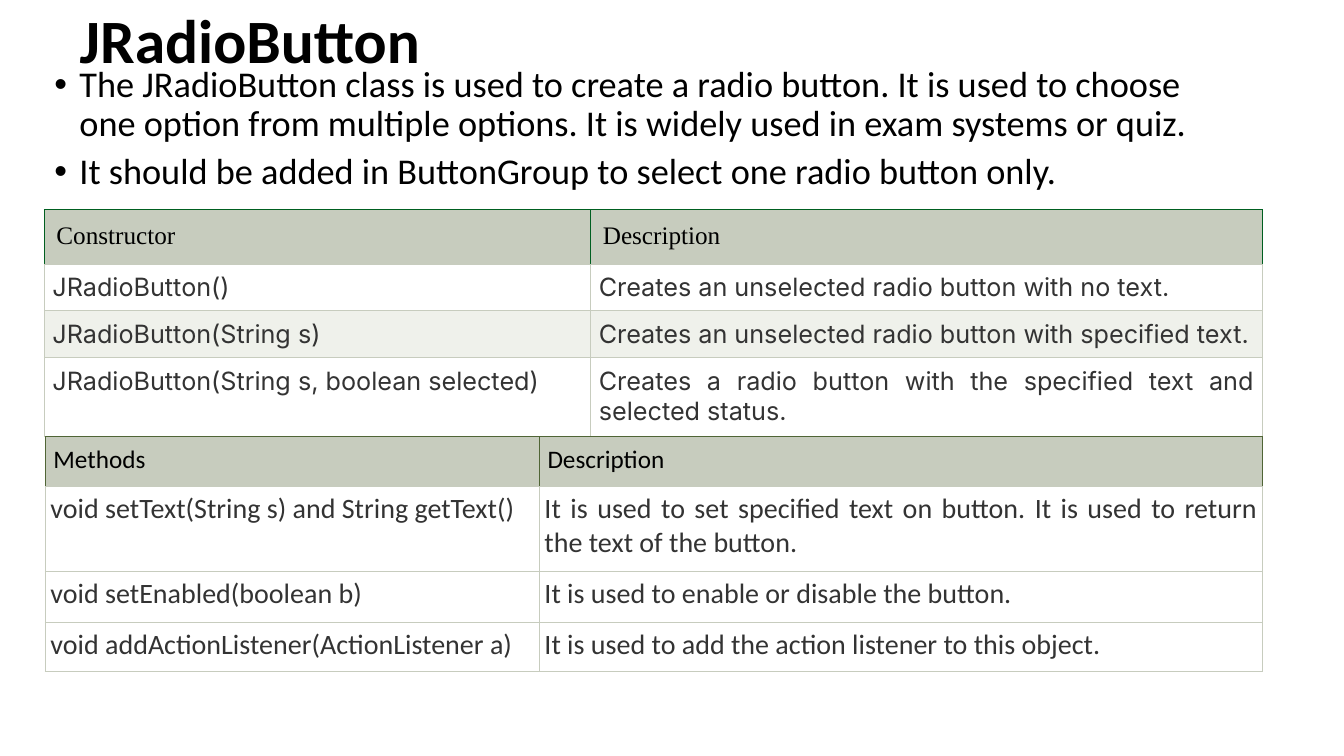
from dataclasses import dataclass

from lxml.etree import SubElement
from pptx import Presentation
from pptx.dml.color import RGBColor
from pptx.enum.text import MSO_ANCHOR, MSO_AUTO_SIZE, PP_ALIGN
from pptx.oxml.ns import qn
from pptx.slide import Slide
from pptx.table import _Cell
from pptx.text.text import TextFrame, _Paragraph
from pptx.util import Emu, Inches, Pt

SLIDE_WIDTH, SLIDE_HEIGHT = Inches(13.33), Inches(7.5)
BLACK, DARK_GRAY, WHITE = "000000", "333333", "FFFFFF"
SAGE, PALE_SAGE = "C7CCBE", "EFF1EB"


@dataclass(frozen=True)
class TextStyle:
    font: str
    size: float
    color: str
    inset: float
    align: PP_ALIGN = PP_ALIGN.LEFT


@dataclass(frozen=True)
class TableSpec:
    """Places and sizes are percentages of the slide's width or height."""
    left: float
    top: float
    columns: tuple[float, ...]
    rows: tuple[float, ...]
    header_border: str
    header: TextStyle
    body: TextStyle
    fills: tuple[str, ...]
    content: tuple[tuple[str, str], ...]


CONSTRUCTORS = TableSpec(
    left=3.3, top=27.73, columns=(40.66, 49.96), rows=(7.2, 6.2, 6.2, 10.4),
    header_border="005F20",
    header=TextStyle("Times New Roman", 18, BLACK, 0.12),
    body=TextStyle("Inter", 18, DARK_GRAY, 0.08, PP_ALIGN.JUSTIFY),
    fills=(SAGE, WHITE, PALE_SAGE, WHITE),
    content=(
        ("Constructor", "Description"),
        ("JRadioButton()", "Creates an unselected radio button with no text."),
        ("JRadioButton(String s)",
         "Creates an unselected radio button with specified text."),
        ("JRadioButton(String s, boolean selected)",
         "Creates a radio button with the specified text and selected status."),
    ),
)
METHODS = TableSpec(
    left=3.38, top=57.73, columns=(36.76, 53.79), rows=(6.67, 11.2, 6.8, 6.4),
    header_border="506536",
    header=TextStyle("Calibri", 18, BLACK, 0.08),
    body=TextStyle("Calibri", 20, DARK_GRAY, 0.05, PP_ALIGN.JUSTIFY),
    fills=(SAGE, WHITE, WHITE, WHITE),
    content=(
        ("Methods", "Description"),
        ("void setText(String s) and String getText()",
         "It is used to set specified text on button. "
         "It is used to return the text of the button."),
        ("void setEnabled(boolean b)",
         "It is used to enable or disable the button."),
        ("void addActionListener(ActionListener a)",
         "It is used to add the action listener to this object."),
    ),
)
BULLETS = (
    "The JRadioButton class is used to create a radio button. It is used to choose "
    "one option from multiple options. It is widely used in exam systems or quiz.",
    "It should be added in ButtonGroup to select one radio button only.",
)


def across(percent: float) -> Emu:
    return Emu(round(SLIDE_WIDTH * percent / 100))


def down(percent: float) -> Emu:
    return Emu(round(SLIDE_HEIGHT * percent / 100))


def rgb(color: str) -> RGBColor:
    return RGBColor.from_string(color)


def write(frame: TextFrame, *texts: str, size: float, font: str = "Calibri",
          color: str = BLACK, bold: bool = False, align: PP_ALIGN = PP_ALIGN.LEFT,
          line_spacing: float = 1.0, space_before: float = 0) -> None:
    """Fill the frame with one paragraph for each text."""
    frame.word_wrap = True
    for index, text in enumerate(texts):
        paragraph = frame.add_paragraph() if index else frame.paragraphs[0]
        paragraph.alignment = align
        paragraph.line_spacing = line_spacing
        paragraph.space_before = Pt(space_before)
        run = paragraph.add_run()
        run.text = text
        run.font.name, run.font.size, run.font.bold = font, Pt(size), bold
        run.font.color.rgb = rgb(color)


def add_bullet(paragraph: _Paragraph) -> None:
    properties = paragraph._p.get_or_add_pPr()
    properties.set("marL", str(Inches(0.25)))
    properties.set("indent", str(-Inches(0.25)))
    SubElement(properties, qn("a:buFont"), typeface="Arial")
    SubElement(properties, qn("a:buChar"), char="•")


def set_borders(cell: _Cell, sides: str, bottom: str) -> None:
    """Colour the bottom border apart from the other three."""
    properties = cell._tc.get_or_add_tcPr()
    for side, color in zip("LRTB", (sides, sides, sides, bottom)):
        line = SubElement(properties, qn(f"a:ln{side}"), w=str(Pt(0.75)))
        SubElement(SubElement(line, qn("a:solidFill")), qn("a:srgbClr"), val=color)


def add_title(slide: Slide, text: str) -> None:
    title = slide.shapes.title
    title.left, title.top = across(5.18), 0
    title.width, title.height = across(78.77), down(11.6)
    frame = title.text_frame
    frame.auto_size = MSO_AUTO_SIZE.NONE
    frame.vertical_anchor = MSO_ANCHOR.MIDDLE
    write(frame, text, size=44, bold=True, line_spacing=0.9)


def add_bullets(slide: Slide) -> None:
    box = slide.shapes.add_textbox(across(3.3), down(8.13), across(89.05), down(18.27))
    write(box.text_frame, *BULLETS, size=25.9, line_spacing=0.9, space_before=6)
    for paragraph in box.text_frame.paragraphs:
        add_bullet(paragraph)


def add_reference_table(slide: Slide, spec: TableSpec) -> None:
    table = slide.shapes.add_table(
        len(spec.rows), len(spec.columns), across(spec.left), down(spec.top),
        across(sum(spec.columns)), down(sum(spec.rows))).table
    table.first_row = table.horz_banding = False
    for column, width in zip(table.columns, spec.columns):
        column.width = across(width)
    for row_index, (row, height) in enumerate(zip(table.rows, spec.rows)):
        row.height = down(height)
        style = spec.body if row_index else spec.header
        border = SAGE if row_index else spec.header_border
        for cell, text in zip(row.cells, spec.content[row_index]):
            set_borders(cell, border, SAGE)
            cell.fill.solid()
            cell.fill.fore_color.rgb = rgb(spec.fills[row_index])
            cell.margin_left = cell.margin_right = Inches(style.inset)
            cell.margin_top = cell.margin_bottom = Inches(style.inset)
            write(cell.text_frame, text, size=style.size, font=style.font,
                  color=style.color, align=style.align)


def main() -> None:
    presentation = Presentation()
    presentation.slide_width, presentation.slide_height = SLIDE_WIDTH, SLIDE_HEIGHT
    slide = presentation.slides.add_slide(presentation.slide_layouts[5])
    add_title(slide, "JRadioButton")
    add_bullets(slide)
    for spec in (CONSTRUCTORS, METHODS):
        add_reference_table(slide, spec)
    presentation.save("out.pptx")


if __name__ == "__main__":
    main()
